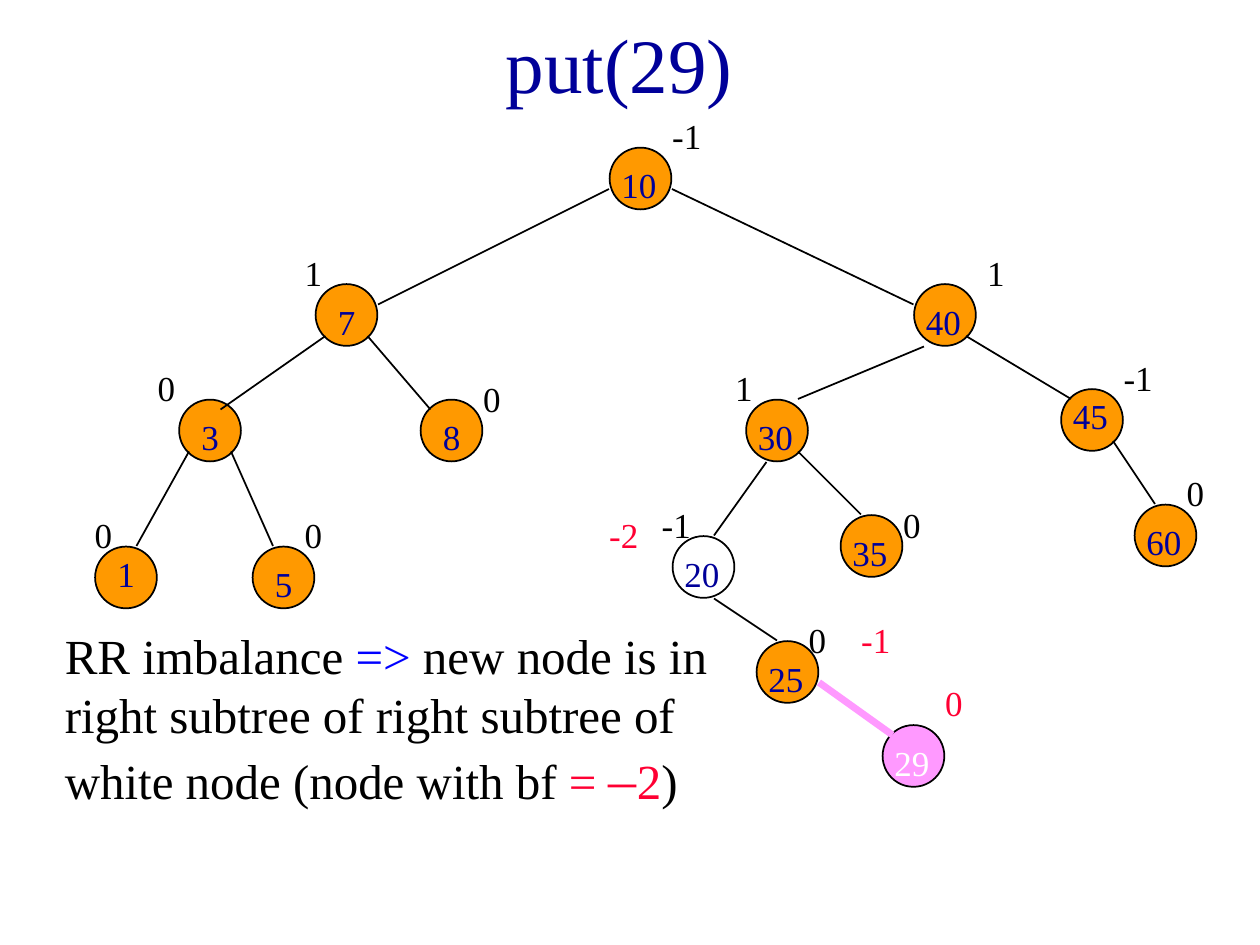
from typing import NamedTuple

from lxml.etree import SubElement
from pptx import Presentation
from pptx.dml.color import RGBColor
from pptx.enum.shapes import MSO_CONNECTOR, MSO_SHAPE
from pptx.enum.text import MSO_ANCHOR, PP_ALIGN
from pptx.oxml.ns import qn
from pptx.slide import Slide
from pptx.util import Pt

BLACK = RGBColor(0x00, 0x00, 0x00)
WHITE = RGBColor(0xFF, 0xFF, 0xFF)
NAVY = RGBColor(0x00, 0x00, 0x99)
BLUE = RGBColor(0x00, 0x00, 0xFF)
ORANGE = RGBColor(0xFF, 0x99, 0x00)
PINK = RGBColor(0xFF, 0x99, 0xFF)
RED = RGBColor(0xFF, 0x00, 0x33)
FONT = "Times New Roman"
SIZE = 35.3


class Run(NamedTuple):
    text: str
    color: RGBColor = BLACK
    size: float = 28


class Node(NamedTuple):
    key: str
    x: float
    y: float
    fill: RGBColor = ORANGE
    ink: RGBColor = NAVY
    rise: float = 12


class Edge(NamedTuple):
    x1: float
    y1: float
    x2: float
    y2: float
    color: RGBColor = BLACK
    width: float = 1


class Factor(NamedTuple):
    text: str
    x: float
    y: float
    color: RGBColor = BLACK


NODES = [
    Node("10", 366, 102),
    Node("7", 198, 180),
    Node("40", 540, 180),
    Node("3", 120, 246),
    Node("8", 258, 246),
    Node("30", 444, 246),
    Node("45", 624, 240, rise=18),
    Node("1", 72, 330, rise=18),
    Node("5", 162, 330),
    Node("20", 402, 324, fill=WHITE),
    Node("35", 498, 312),
    Node("60", 666, 306),
    Node("25", 450, 384),
    Node("29", 522, 432, fill=PINK, ink=WHITE),
]

EDGES = [
    Edge(348, 108, 216, 174),
    Edge(384, 108, 522, 174),
    Edge(186, 192, 126, 234),
    Edge(210, 192, 246, 234),
    Edge(528, 198, 456, 228),
    Edge(552, 192, 612, 228),
    Edge(108, 258, 78, 312),
    Edge(132, 258, 156, 312),
    Edge(438, 264, 408, 306),
    Edge(456, 258, 492, 294),
    Edge(636, 252, 660, 288),
    Edge(408, 342, 444, 366),
    Edge(468, 390, 510, 420, PINK, 4),
]

FACTORS = [
    Factor("-1", 377, 62),
    Factor("1", 167, 140),
    Factor("1", 557, 140),
    Factor("0", 83, 206),
    Factor("0", 269, 212),
    Factor("1", 413, 206),
    Factor("-1", 635, 200),
    Factor("0", 47, 290),
    Factor("0", 167, 290),
    Factor("-2", 341, 290, RED),
    Factor("-1", 371, 284),
    Factor("0", 509, 284),
    Factor("0", 671, 266),
    Factor("0", 455, 350),
    Factor("-1", 485, 350, RED),
    Factor("0", 533, 386, RED),
]

RULE = [
    Run("RR imbalance"),
    Run(" =>", BLUE),
    Run(" new node is in right subtree of right subtree of "
        "white node (node with bf "),
    Run("= ", RED),
    Run("–", RED, 32),
    Run("2", RED),
    Run(")"),
]


def write(slide: Slide, runs: list[Run], x: float, y: float, w: float,
          h: float, *, wrap: bool = True, align: PP_ALIGN = PP_ALIGN.LEFT,
          anchor: MSO_ANCHOR = MSO_ANCHOR.TOP) -> None:
    frame = slide.shapes.add_textbox(Pt(x), Pt(y), Pt(w), Pt(h)).text_frame
    frame.word_wrap = wrap
    frame.vertical_anchor = anchor
    para = frame.paragraphs[0]
    para.alignment = align
    for part in runs:
        run = para.add_run()
        run.text = part.text
        run.font.name = FONT
        run.font.size = Pt(part.size)
        run.font.color.rgb = part.color


def draw_node(slide: Slide, node: Node) -> None:
    oval = slide.shapes.add_shape(
        MSO_SHAPE.OVAL, Pt(node.x - SIZE / 2), Pt(node.y - SIZE / 2),
        Pt(SIZE), Pt(SIZE))
    oval.shadow.inherit = False
    oval.fill.solid()
    oval.fill.fore_color.rgb = node.fill
    oval.line.color.rgb = BLACK
    oval.line.width = Pt(1)
    shift = 6 + 6 * len(node.key)
    write(slide, [Run(node.key, node.ink, 20)],
          node.x - shift, node.y - node.rise, 36, 31)


def draw_edge(slide: Slide, edge: Edge) -> None:
    line = slide.shapes.add_connector(
        MSO_CONNECTOR.STRAIGHT, Pt(edge.x1), Pt(edge.y1),
        Pt(edge.x2), Pt(edge.y2))
    line.line.color.rgb = edge.color
    line.line.width = Pt(edge.width)
    SubElement(line._element.spPr, qn("a:effectLst"))


def draw_factor(slide: Slide, item: Factor) -> None:
    width = 18 + 6.5 * len(item.text)
    write(slide, [Run(item.text, item.color, 20)],
          item.x, item.y, width, 31, wrap=False)


def main() -> None:
    deck = Presentation()
    deck.slide_width = Pt(720)
    deck.slide_height = Pt(540)
    slide = deck.slides.add_slide(deck.slide_layouts[6])
    write(slide, [Run("put(29)", NAVY, 44)], 48, 0, 612, 72,
          align=PP_ALIGN.CENTER, anchor=MSO_ANCHOR.MIDDLE)
    for node in NODES:
        draw_node(slide, node)
    for edge in EDGES:
        draw_edge(slide, edge)
    for item in FACTORS:
        draw_factor(slide, item)
    write(slide, RULE, 30, 354, 390, 113)
    deck.save("out.pptx")


if __name__ == "__main__":
    main()
